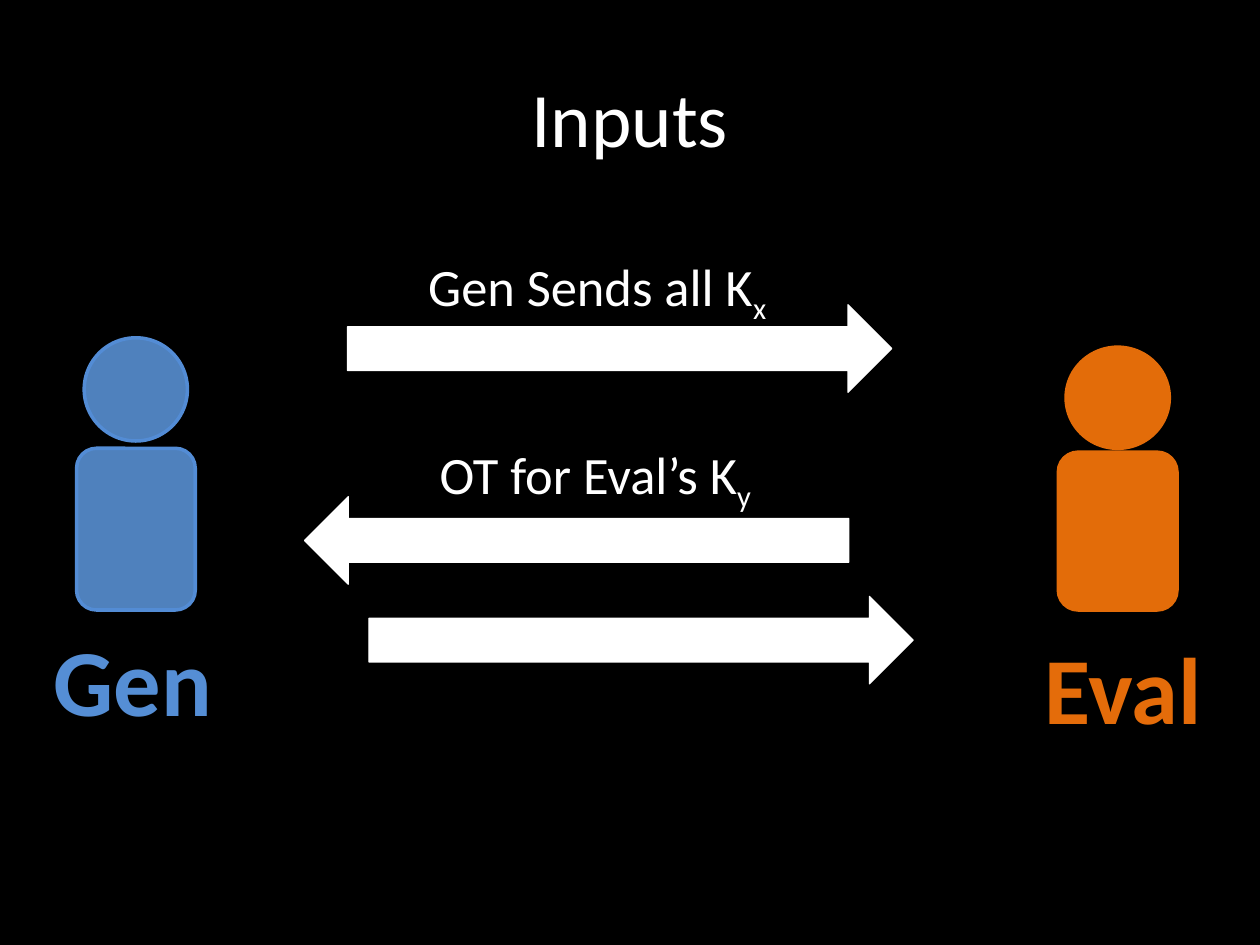
from pptx import Presentation
from pptx.dml.color import RGBColor
from pptx.enum.shapes import MSO_SHAPE as Preset
from pptx.enum.text import MSO_ANCHOR as Anchor, PP_ALIGN as Align
from pptx.util import Pt

COLORS = {
    "background": "000000",
    "white": "FFFFFF",
    "gen_fill": "4F81BD",
    "gen_line": "538CD5",
    "gen_name": "558ED5",
    "eval_body": "E36C09",
    "eval_name": "E46C0A",
}

prs = Presentation()
prs.slide_width, prs.slide_height = Pt(720), Pt(540)
slide = prs.slides.add_slide(prs.slide_layouts[6])
slide.background.fill.solid()
slide.background.fill.fore_color.rgb = RGBColor.from_string(COLORS["background"])


def add_figure(preset, box, fill, line, line_width):
    """Add a filled, outlined preset shape; box is left, top, width, height."""
    figure = slide.shapes.add_shape(preset, *map(Pt, box))
    figure.shadow.inherit = False
    figure.fill.solid()
    figure.fill.fore_color.rgb = RGBColor.from_string(COLORS[fill])
    figure.line.color.rgb = RGBColor.from_string(COLORS[line])
    figure.line.width = Pt(line_width)
    return figure


def add_label(text, box, size, color="white", align=Align.LEFT, bold=False, wrap=True):
    """Add a one-paragraph text box and return its text frame."""
    frame = slide.shapes.add_textbox(*map(Pt, box)).text_frame
    frame.word_wrap = wrap
    paragraph = frame.paragraphs[0]
    paragraph.add_run().text = text
    paragraph.alignment = align
    font = paragraph.font
    font.name, font.size, font.bold = "Calibri", Pt(size), bold
    font.color.rgb = RGBColor.from_string(COLORS[color])
    return frame


title = add_label("Inputs", (36, 21.6, 648, 90), 44, align=Align.CENTER)
title.vertical_anchor = Anchor.MIDDLE

# Each party: head, body, then the name below
parties = [
    ("Gen", "gen_fill", "gen_line", "gen_name",
     (48.1, 193, 59, 59), (43.8, 256.2, 67.8, 92.4), (23, 352, 105.8, 72.7)),
    ("Eval", "eval_body", "eval_body", "eval_name",
     (609.2, 198.4, 59, 57.8), (604.8, 258.4, 67.8, 90.2), (588.2, 356.4, 107.3, 72.7)),
]
for name, fill, line, name_color, head, body, name_box in parties:
    add_figure(Preset.OVAL, head, fill, line, 2)
    add_figure(Preset.ROUNDED_RECTANGLE, body, fill, line, 2)
    add_label(name, name_box, 54, name_color, Align.CENTER, bold=True, wrap=False)

# Messages between the parties
for left, top, rotation in [(198.6, 174.2, 0), (174, 283.8, 180), (210.8, 340.8, 0)]:
    arrow = add_figure(Preset.RIGHT_ARROW, (left, top, 311, 50), "white", "white", 0.75)
    arrow.rotation = rotation

for message, key_index, box in [
    ("Gen Sends all K", "x", (237.6, 141.8, 219.6, 43.9)),
    ("OT for Eval’s K", "y", (244.1, 249.1, 224.6, 43.9)),
]:
    subscript = add_label(message, box, 30).paragraphs[0].add_run()
    subscript.text = key_index
    subscript.font._element.set("baseline", "-25000")

prs.save("out.pptx")
